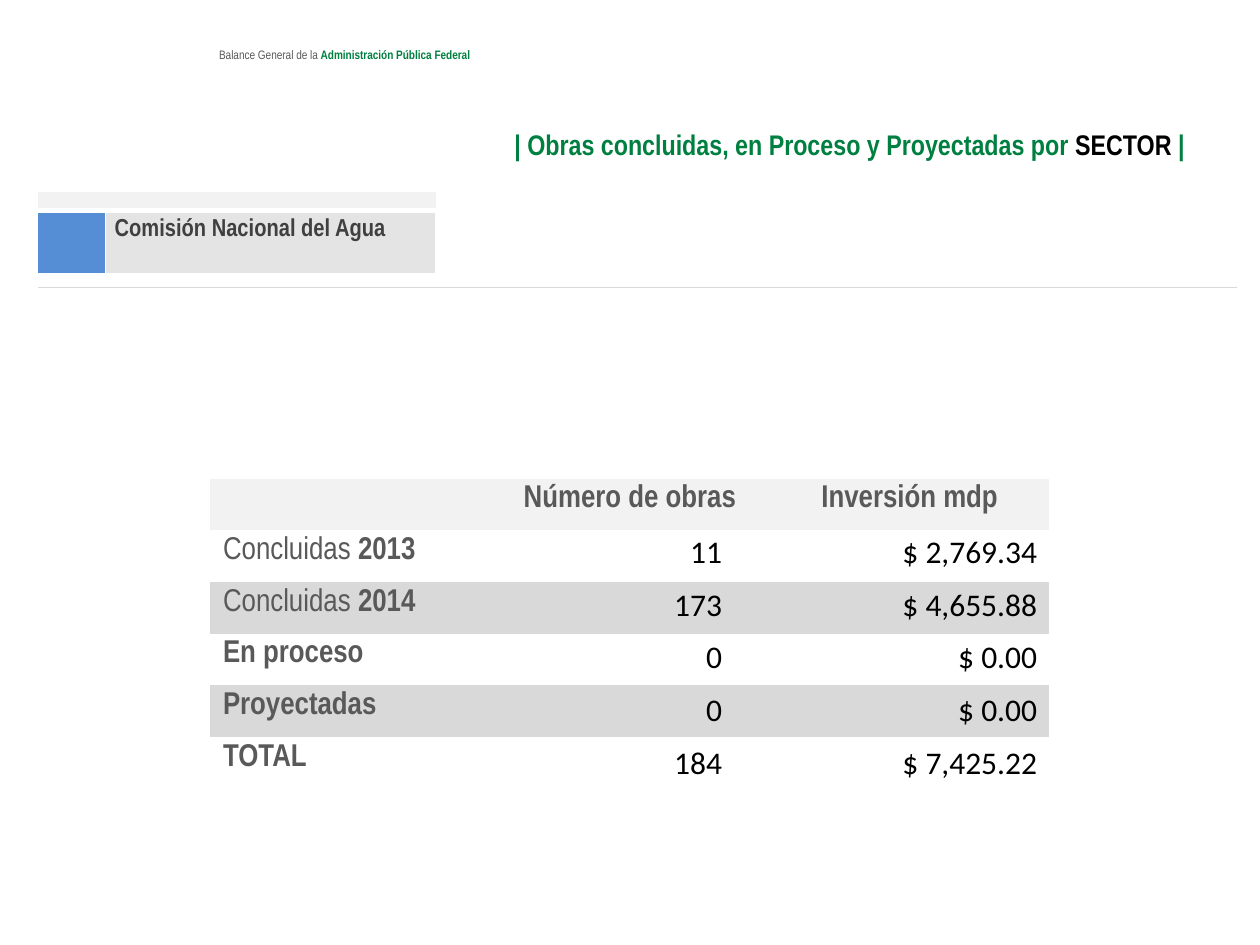
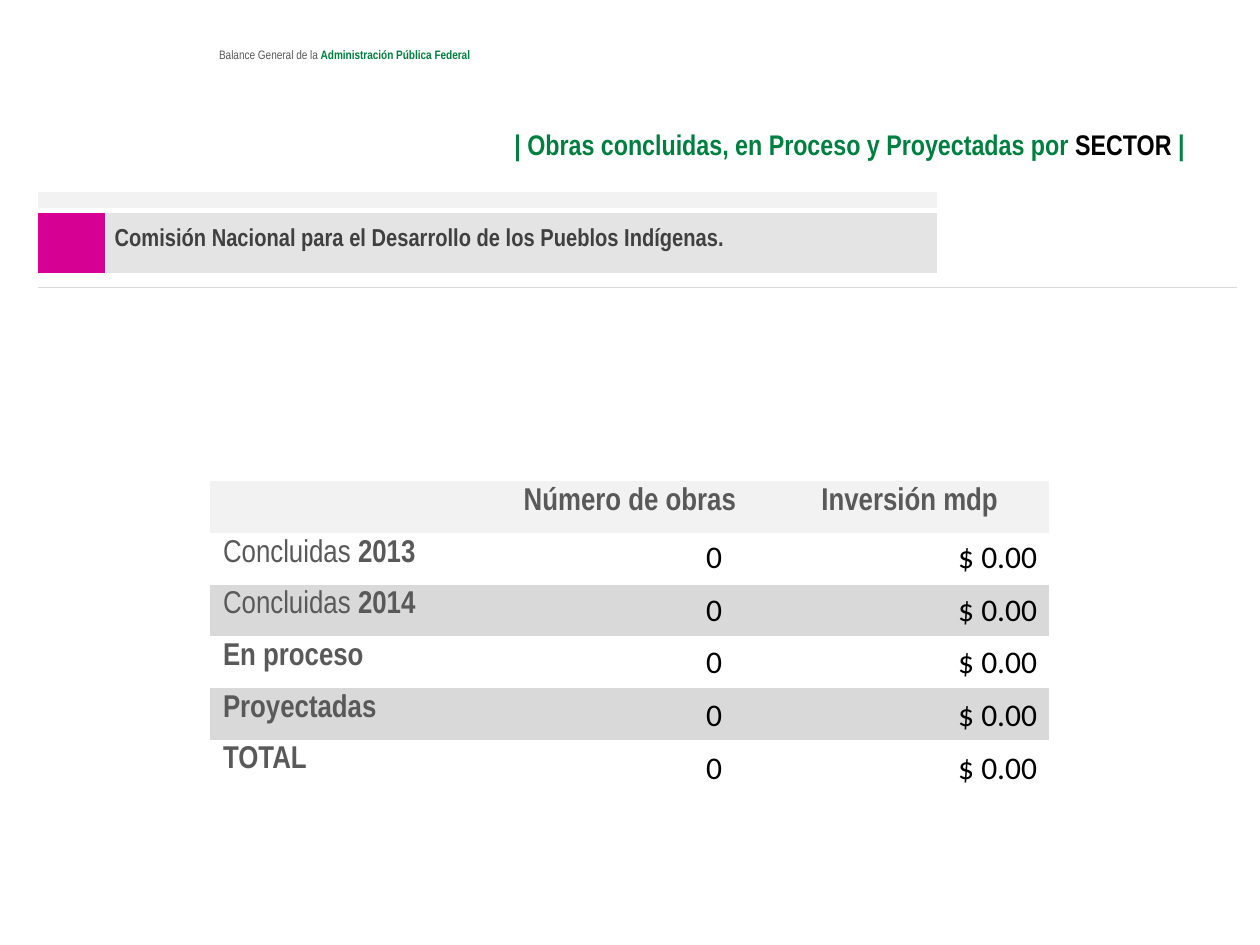
from pptx import Presentation
from pptx.dml.color import RGBColor
from pptx.enum.text import MSO_ANCHOR, PP_ALIGN
from pptx.oxml.ns import qn
from pptx.util import Inches, Pt
from lxml.etree import SubElement

WHITE = RGBColor(0xFF, 0xFF, 0xFF)
BLACK = RGBColor(0, 0, 0)
GREEN = RGBColor(0x00, 0x80, 0x40)
BLUE = RGBColor(0x55, 0x8E, 0xD5)
PINK = RGBColor(0xD6, 0x00, 0x93)
INK = RGBColor(0x40, 0x40, 0x40)
GRAY = RGBColor(0x59, 0x59, 0x59)
BAND = RGBColor(0xD9, 0xD9, 0xD9)
PALE = RGBColor(0xF2, 0xF2, 0xF2)
TINT = RGBColor(0xE4, 0xE4, 0xE4)
PLAIN = "{2D5ABB26-0587-4C30-8999-92F81FD0307C}"
NARROW = "Arial Narrow"

HEADS = ["", "Número de obras", "Inversión mdp"]
LABELS = [
    [("Concluidas ", False), ("2013", True)],
    [("Concluidas ", False), ("2014", True)],
    [("En proceso", True)],
    [("Proyectadas", True)],
    [("TOTAL", True)],
]


def write(frame, runs, size=18, font=NARROW, color=GRAY, bold=False,
          align=PP_ALIGN.LEFT, space=None):
    para = frame.paragraphs[0]
    para.alignment = align
    para.line_spacing = space
    if isinstance(runs, str):
        runs = [(runs, bold)]
    for text, heavy, *tone in runs:
        run = para.add_run()
        run.text = text
        run.font.size = Pt(size)
        run.font.name = font
        run.font.bold = heavy
        run.font.color.rgb = tone[0] if tone else color


def add_text(slide, left, top, width, height, runs, anchor=MSO_ANCHOR.TOP, **style):
    box = slide.shapes.add_textbox(
        Inches(left), Inches(top), Inches(width), Inches(height))
    frame = box.text_frame
    frame.word_wrap = True
    frame.vertical_anchor = anchor
    write(frame, runs, **style)


def add_grid(slide, left, top, cols, rows):
    table = slide.shapes.add_table(
        len(rows), len(cols), Inches(left), Inches(top),
        Inches(sum(cols)), Inches(sum(rows))).table
    table.first_row = table.horz_banding = False
    table._tbl.tblPr.find(qn("a:tableStyleId")).text = PLAIN
    for col, width in zip(table.columns, cols):
        col.width = Inches(width)
    for row, height in zip(table.rows, rows):
        row.height = Inches(height)
    return table


def paint(cell, color):
    cell.fill.solid()
    cell.fill.fore_color.rgb = color


def shrink(cell):
    cell.margin_top = cell.margin_bottom = 0
    mark = SubElement(cell.text_frame.paragraphs[0]._p, qn("a:endParaRPr"))
    mark.set("sz", "100")


def edge(cell, **sides):
    props = cell._tc.get_or_add_tcPr()
    for side in "LRTB":
        if side in sides:
            color, width = sides[side]
            line = SubElement(props, qn("a:ln" + side))
            line.set("w", str(Pt(width)))
            fill = SubElement(line, qn("a:solidFill"))
            SubElement(fill, qn("a:srgbClr")).set("val", str(color))


def add_frame(slide):
    add_text(slide, 1.64, 0.35, 4.49, 0.2,
             [("Balance General de la ", False),
              ("Administración Pública Federal", True, GREEN)],
             size=7, space=0.8)
    add_text(slide, 0.5, 0.91, 9, 0.43,
             [("| Obras concluidas, en Proceso y Proyectadas por ", True),
              ("SECTOR ", True, BLACK), ("|", True)],
             anchor=MSO_ANCHOR.MIDDLE, size=16.2, color=GREEN,
             align=PP_ALIGN.RIGHT, space=1.15)


def add_banner(slide, name, color, width, lift):
    cols = [0.54, width, 8.98 - width]
    table = add_grid(slide, 0.3, 1.52, cols, [0.15, 0.5, 0.11, 5])
    label = table.cell(1, 1)
    thin, wide, rule = (WHITE, 0.5), (WHITE, 3), (BAND, 0.25)
    for col in range(3):
        edge(table.cell(0, col), T=(WHITE, 1), B=wide)
        edge(table.cell(1, col), L=thin, R=thin, T=wide, B=(WHITE, 1))
        edge(table.cell(2, col), B=rule)
        edge(table.cell(3, col), T=rule)
    for cell in table.iter_cells():
        if cell is not label and cell._tc is not label._tc:
            shrink(cell)
    for row, span in ((0, 1), (2, 1), (3, 2)):
        table.cell(row, 0).merge(table.cell(row, span))
    paint(table.cell(0, 0), PALE)
    paint(table.cell(1, 0), color)
    paint(label, TINT)
    label.vertical_anchor = MSO_ANCHOR.MIDDLE
    label.margin_left = label.margin_right = Inches(0.07)
    label.margin_top, label.margin_bottom = 0, Inches(lift)
    write(label.text_frame, name, size=14, color=INK, bold=True, space=Pt(11))


def add_works(slide, top, start, works):
    table = add_grid(slide, 1.67, top, [2.22] * 3, [0.41] * 6)
    for col, head in enumerate(HEADS):
        if head:
            write(table.cell(0, col).text_frame, head, bold=True,
                  align=PP_ALIGN.CENTER)
    for row, label in enumerate(LABELS, 1):
        write(table.cell(row, 0).text_frame, label)
    for row in range(6):
        for col in range(3):
            cell = table.cell(row, col)
            if not cell.text_frame.text:
                shrink(cell)
            if row in (0, 2, 4):
                paint(cell, BAND if row else PALE)
    for row, (count, cost) in enumerate(works):
        y = start + 0.42 * row
        for left, width, text in ((4.16, 1.67, count), (6.57, 1.76, cost)):
            add_text(slide, left, y, width, 0.4, text, font="Calibri",
                     color=BLACK, align=PP_ALIGN.RIGHT)


def add_page(deck, name, color, width, lift, top, start, works):
    slide = deck.slides.add_slide(deck.slide_layouts[6])
    add_frame(slide)
    add_banner(slide, name, color, width, lift)
    add_works(slide, top, start, works)


def main():
    deck = Presentation()
    deck.slide_width, deck.slide_height = Inches(10), Inches(7.5)
    none = ("0", "$ 0.00")
    add_page(deck, "Comisión Nacional del Agua", BLUE, 2.62, 0.15, 3.8, 4.17,
             [("11", "$ 2,769.34"), ("173", "$ 4,655.88"), none, none,
              ("184", "$ 7,425.22")])
    add_page(deck, "Comisión Nacional para el Desarrollo de los Pueblos Indígenas.",
             PINK, 6.6, 0, 3.82, 4.21, [none] * 5)
    deck.save("out.pptx")


if __name__ == "__main__":
    main()
